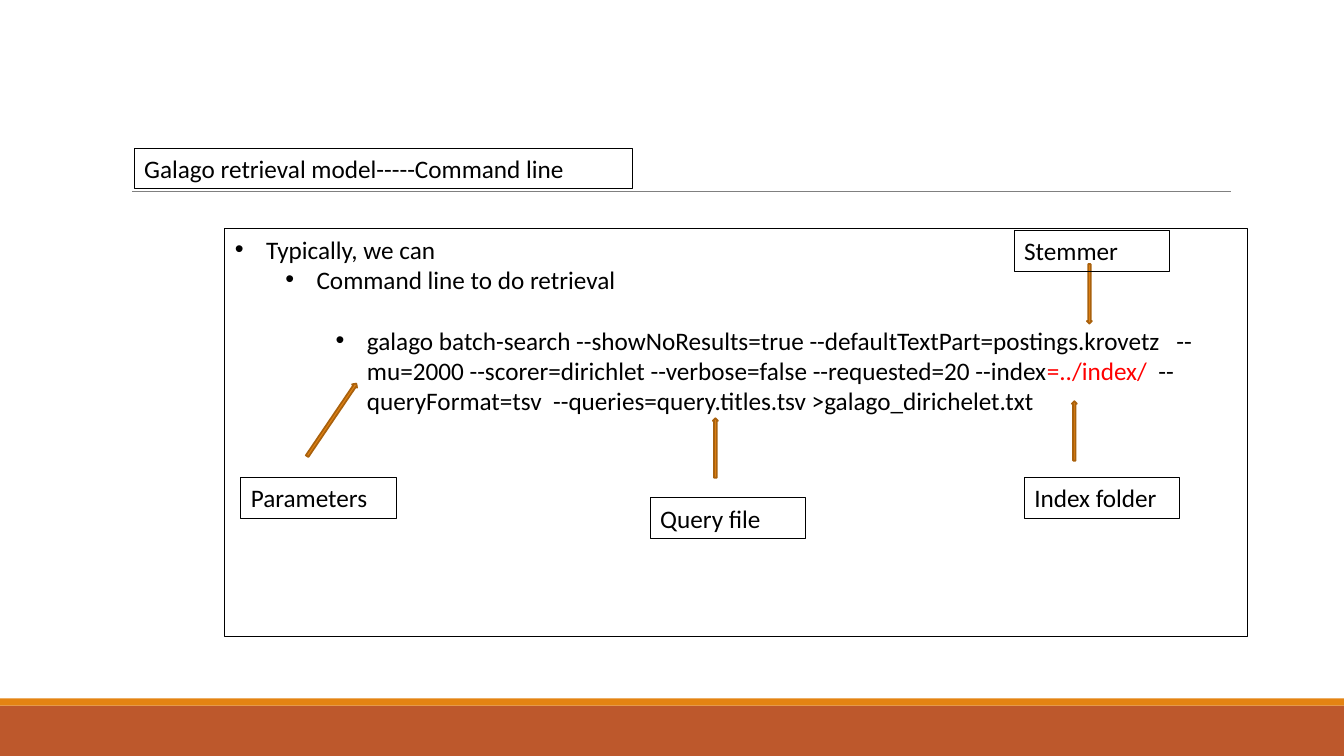
from dataclasses import dataclass

from lxml import etree
from pptx import Presentation
from pptx import util as u
from pptx.dml.color import RGBColor
from pptx.enum import shapes, text
from pptx.oxml import ns

PX = 9144  # EMU per px, 100 px to the inch


@dataclass(frozen=True)
class Theme:
    font: str = "Calibri"
    size: int = 18
    ink: str = "000000"
    accent: str = "FF0000"
    rule: str = "808080"
    band: str = "BD582C"
    stripe: str = "E48312"
    arrow_edge: str = "A9610D"


class SlideBuilder:
    def __init__(self, deck, theme):
        self.theme = theme
        self.slide = deck.slides.add_slide(deck.slide_layouts[1])

    def place(self, shape, left, top, width, height):
        shape.left, shape.top = left * PX, top * PX
        shape.width, shape.height = width * PX, height * PX

    def outline(self, shape, color, width):
        shape.line.color.rgb = RGBColor.from_string(color)
        shape.line.width = u.Pt(width)

    def frame(self, box):
        """Give a text box its thin border and top-left wrapped text."""
        self.outline(box, self.theme.ink, 0.75)
        frame = box.text_frame
        frame.word_wrap = True
        frame.auto_size = text.MSO_AUTO_SIZE.NONE
        frame.vertical_anchor = text.MSO_ANCHOR.TOP
        return frame

    def style(self, para, before=0):
        para.alignment = text.PP_ALIGN.LEFT
        para.line_spacing = 1.0
        para.space_before = u.Pt(before)
        para.space_after = u.Pt(0)
        para.font.name = self.theme.font
        para.font.size = u.Pt(self.theme.size)
        para.font.color.rgb = RGBColor.from_string(self.theme.ink)

    def bullet(self, para, level):
        para.level = level
        props = para._p.get_or_add_pPr()
        props.set("marL", str((31 + 50 * level) * PX))
        props.set("indent", str(-31 * PX))
        etree.SubElement(props, ns.qn("a:buFont"), typeface="Arial")
        etree.SubElement(props, ns.qn("a:buChar"), char="•")

    def title(self, words, *place):
        box = self.slide.shapes.title
        self.place(box, *place)
        frame = self.frame(box)
        frame.text = words
        self.style(frame.paragraphs[0])

    def body(self, items, *place):
        """Fill the list from (level, space before, [(words, color)]) items."""
        box = self.slide.placeholders[1]
        self.place(box, *place)
        frame = self.frame(box)
        for index, (level, before, spans) in enumerate(items):
            para = frame.add_paragraph() if index else frame.paragraphs[0]
            self.bullet(para, level)
            self.style(para, before)
            for words, color in spans:
                span = para.add_run()
                span.text = words
                if color:
                    span.font.color.rgb = RGBColor.from_string(color)

    def label(self, words, left, top):
        box = self.slide.shapes.add_textbox(0, 0, 0, 0)
        self.place(box, left, top, 154, 40)
        frame = self.frame(box)
        frame.text = words
        self.style(frame.paragraphs[0])

    def solid(self, kind, fill, *place):
        shape = self.slide.shapes.add_shape(kind, 0, 0, 0, 0)
        self.place(shape, *place)
        shape.shadow.inherit = False
        shape.fill.solid()
        shape.fill.fore_color.rgb = RGBColor.from_string(fill)
        return shape

    def band(self, fill, top, height):
        shape = self.solid(shapes.MSO_SHAPE.RECTANGLE, fill, 0, top, 1333, height)
        shape.line.fill.background()

    def arrow(self, left, top, width, height, rotation):
        shape = self.solid(shapes.MSO_SHAPE.DOWN_ARROW, self.theme.stripe,
                           left, top, width, height)
        shape.rotation = rotation
        self.outline(shape, self.theme.arrow_edge, 1.25)

    def rule(self, left, right, y):
        line = self.slide.shapes.add_connector(
            shapes.MSO_CONNECTOR.STRAIGHT, left * PX, y * PX, right * PX, y * PX)
        self.outline(line, self.theme.rule, 0.5)
        etree.SubElement(line._element.spPr, ns.qn("a:effectLst"))


def main():
    deck = Presentation()
    deck.slide_width, deck.slide_height = 1333 * PX, 750 * PX
    theme = Theme()
    page = SlideBuilder(deck, theme)

    page.band(theme.band, 700, 50)
    page.band(theme.stripe, 693, 7)
    page.rule(131, 1221, 190)

    page.title("Galago retrieval model-----Command line", 133, 147, 494, 40)
    command = [
        ("galago batch-search --showNoResults=true "
         "--defaultTextPart=postings.krovetz   --mu=2000 --scorer=dirichlet "
         "--verbose=false --requested=20 --index", None),
        ("=../index/  ", theme.accent),
        ("--queryFormat=tsv  --queries=query.titles.tsv "
         ">galago_dirichelet.txt", None),
    ]
    page.body([
        (0, 0, [("Typically, we can", None)]),
        (1, 0, [("Command line to do retrieval", None)]),
        (2, 22, command),
    ], 223, 227, 1014, 404)

    callouts = [
        ("Index folder", (1016, 474), (1063, 398, 5, 59, 180)),
        ("Query file", (645, 494), (707, 415, 5, 59, 180)),
        ("Parameters", (239, 474), (326, 373, 6, 87, 214.1)),
        ("Stemmer", (1006, 229), (1078, 262, 5, 59, 0)),
    ]
    for words, corner, arrow in callouts:
        page.arrow(*arrow)
        page.label(words, *corner)

    deck.save("out.pptx")


if __name__ == "__main__":
    main()
